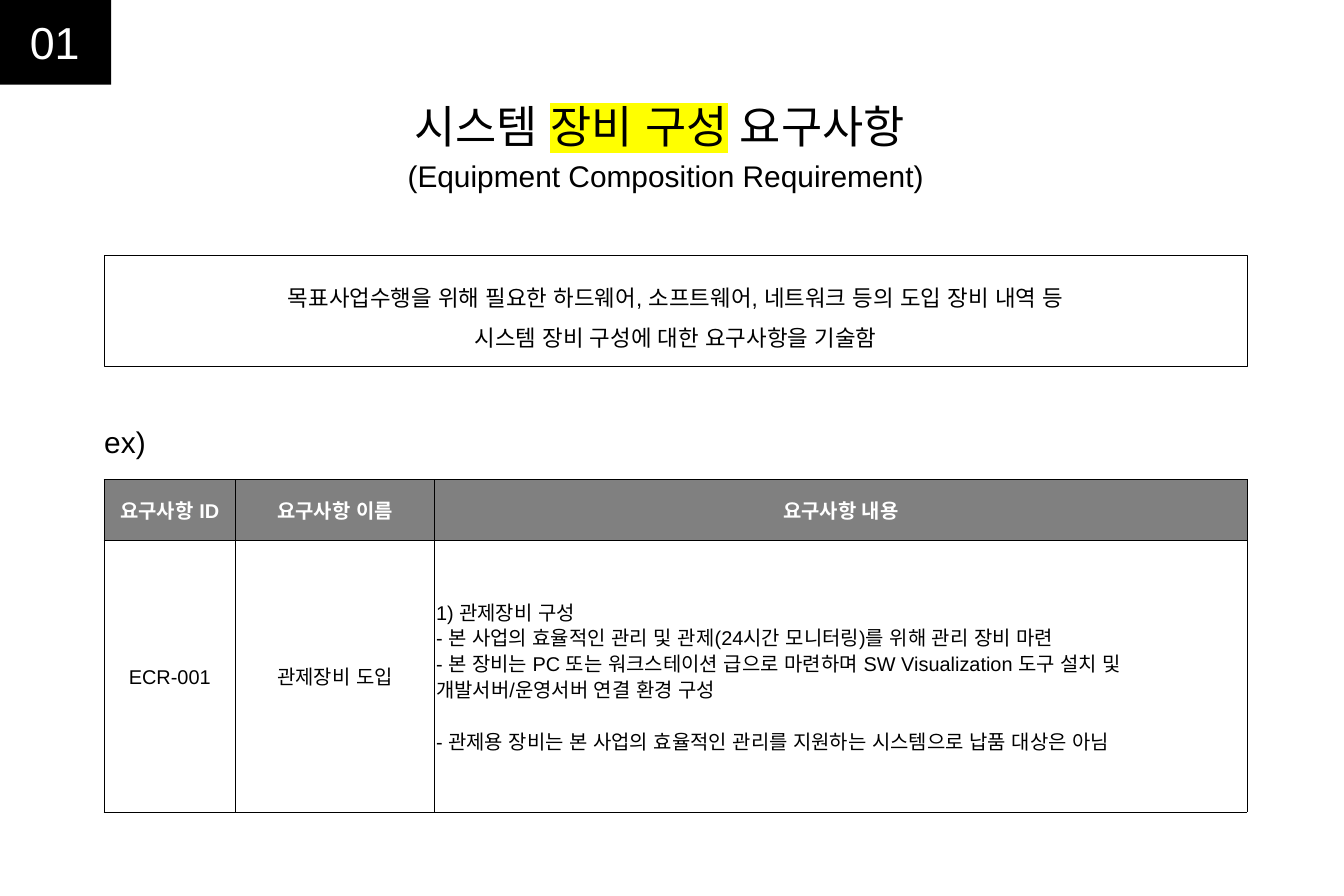
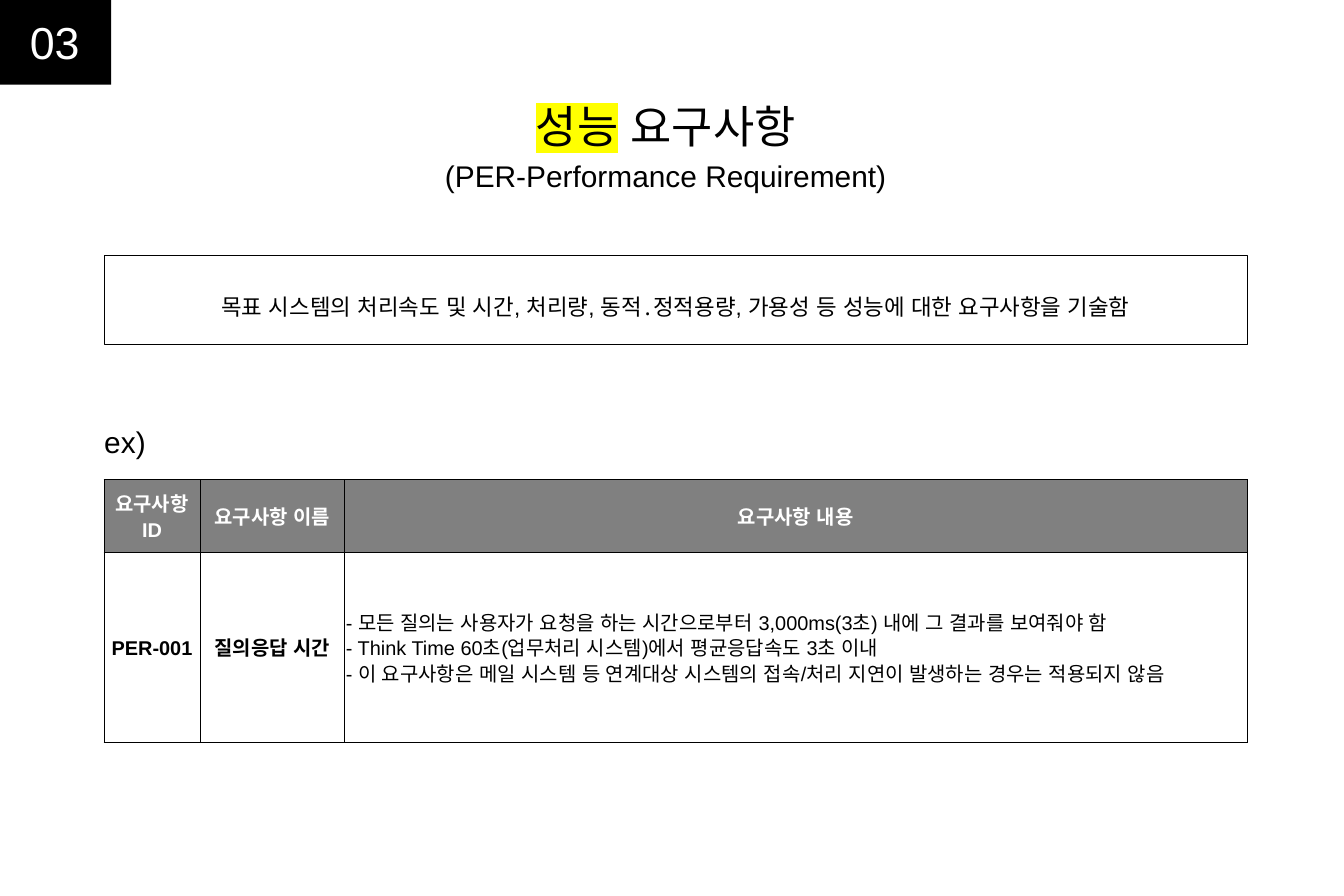
from lxml import etree
from pptx import Presentation
from pptx.dml.color import RGBColor
from pptx.enum.shapes import MSO_SHAPE
from pptx.enum.text import MSO_ANCHOR, PP_ALIGN
from pptx.oxml import parse_xml
from pptx.oxml.ns import nsdecls, qn
from pptx.util import Cm, Pt

RECTANGLE = MSO_SHAPE.RECTANGLE
TOP, MIDDLE = MSO_ANCHOR.TOP, MSO_ANCHOR.MIDDLE
LEFT, CENTER = PP_ALIGN.LEFT, PP_ALIGN.CENTER

FONT = "Arial"
BLACK, WHITE, GRAY, YELLOW = "000000", "FFFFFF", "808080", "FFFF00"
LINE_WIDTH = Pt(0.75)
INSET = 0.25

# Left, top, width and height in centimetres
NUMBER_BOX = (-0.1, -0.03, 6.4, 4.83)
TITLE_BOX = (6.53, 4.6, 61.16, 7.92)
EXAMPLE_BOX = (5.66, 23.77, 7.82, 3.4)
CONTENT_LEFT, CONTENT_WIDTH = 5.89, 64.82
SUMMARY_TOP, TABLE_TOP = 14.45, 27.18

HEADERS = ("요구사항 ID", "요구사항 이름", "요구사항 내용")

REQUIREMENTS = [
    dict(
        number="01",
        title=("시스템 ", "장비 구성", " 요구사항 "),
        subtitle="(Equipment Composition Requirement)",
        summary="목표사업수행을 위해 필요한 하드웨어, 소프트웨어, 네트워크 등의 도입 장비 내역 등\n"
                "시스템 장비 구성에 대한 요구사항을 기술함",
        summary_height=6.32,
        columns=(7.47, 11.28, 46.07),
        rows=(3.43, 15.44),
        values=(
            "ECR-001",
            "관제장비 도입",
            "1) 관제장비 구성\n"
            "- 본 사업의 효율적인 관리 및 관제(24시간 모니터링)를 위해 관리 장비 마련\n"
            "- 본 장비는 PC 또는 워크스테이션 급으로 마련하며 SW Visualization 도구 설치 및 "
            "개발서버/운영서버 연결 환경 구성\n"
            "- 관제용 장비는 본 사업의 효율적인 관리를 지원하는 시스템으로 납품 대상은 아님",
        ),
        bold_labels=False,
        last_gap=42,
    ),
    dict(
        number="03",
        title=("", "성능", " 요구사항"),
        subtitle="(PER-Performance Requirement)",
        summary="목표 시스템의 처리속도 및 시간, 처리량, 동적․정적용량, 가용성 등 "
                "성능에 대한 요구사항을 기술함",
        summary_height=5.08,
        columns=(5.46, 8.18, 51.18),
        rows=(4.14, 10.77),
        values=(
            "PER-001",
            "질의응답 시간",
            "- 모든 질의는 사용자가 요청을 하는 시간으로부터 3,000ms(3초) 내에 그 결과를 보여줘야 함\n"
            "- Think Time 60초(업무처리 시스템)에서 평균응답속도 3초 이내\n"
            "- 이 요구사항은 메일 시스템 등 연계대상 시스템의 접속/처리 지연이 "
            "발생하는 경우는 적용되지 않음",
        ),
        bold_labels=True,
        last_gap=0,
    ),
]


def color(value):
    return RGBColor.from_string(value)


def place(box):
    return [Cm(length) for length in box]


def style_span(span, size, ink, bold=False):
    font = span.font
    font.size, font.bold, font.name = Pt(size), bold, FONT
    font.color.rgb = color(ink)
    latin = span._r.get_or_add_rPr().find(qn("a:latin"))
    east_asian = etree.Element(qn("a:ea"), typeface=FONT)
    latin.addnext(east_asian)


def highlight(span, shade):
    latin = span._r.get_or_add_rPr().find(qn("a:latin"))
    latin.addprevious(parse_xml(
        f'<a:highlight {nsdecls("a")}><a:srgbClr val="{shade}"/></a:highlight>'))


def style_frame(frame, inset=INSET, anchor=TOP):
    frame.word_wrap = True
    frame.vertical_anchor = anchor
    frame.margin_left = frame.margin_right = Cm(inset)
    frame.margin_top = frame.margin_bottom = Cm(inset)


def write(frame, text, size, ink=BLACK, align=CENTER, spacing=1.0, bold=False):
    frame.text = text
    for para in frame.paragraphs:
        para.alignment, para.line_spacing = align, spacing
        for span in para.runs:
            style_span(span, size, ink, bold)


def add_text_box(page, box, inset=INSET):
    frame = page.shapes.add_textbox(*place(box)).text_frame
    style_frame(frame, inset)
    return frame


def add_box(page, box, fill=None, line=None):
    shape = page.shapes.add_shape(RECTANGLE, *place(box))
    shape.shadow.inherit = False
    if fill:
        shape.fill.solid()
        shape.fill.fore_color.rgb = color(fill)
    else:
        shape.fill.background()
    if line:
        shape.line.color.rgb = color(line)
        shape.line.width = LINE_WIDTH
    else:
        shape.line.fill.background()
    style_frame(shape.text_frame, anchor=MIDDLE)
    return shape.text_frame


def add_title(page, box, title, subtitle):
    """Add the title, with its middle part highlighted, above its subtitle."""
    frame = add_text_box(page, box, inset=0.53)
    heading, caption = frame.paragraphs[0], frame.add_paragraph()
    before, marked, after = title
    for text in filter(None, title):
        span = heading.add_run()
        span.text = text
        style_span(span, 72, BLACK)
        if text == marked:
            highlight(span, YELLOW)
    caption.text = subtitle
    style_span(caption.runs[0], 48, BLACK)
    for para in frame.paragraphs:
        para.alignment, para.line_spacing = CENTER, 1.15
        properties = para._p.get_or_add_pPr()
        properties.set("marL", str(Cm(1.27)))
        properties.set("indent", "0")


def add_borders(cell):
    properties = cell._tc.get_or_add_tcPr()
    for side in ("lnL", "lnR", "lnT", "lnB"):
        properties.append(parse_xml(
            f'<a:{side} {nsdecls("a")} w="{LINE_WIDTH}"><a:solidFill>'
            f'<a:srgbClr val="{BLACK}"/></a:solidFill></a:{side}>'))


def fill_cell(cell, text, ink, fill=None, align=CENTER, bold=False):
    add_borders(cell)
    if fill:
        cell.fill.solid()
        cell.fill.fore_color.rgb = color(fill)
    else:
        cell.fill.background()
    cell.vertical_anchor = MIDDLE
    cell.margin_left = cell.margin_right = Cm(0.08)
    cell.margin_top = cell.margin_bottom = Cm(INSET)
    write(cell.text_frame, text, 32, ink, align, 1.15, bold)


def add_requirement_table(page, left, top, item):
    columns, rows = item["columns"], item["rows"]
    box = (left, top, sum(columns), sum(rows))
    table = page.shapes.add_table(len(rows), len(columns), *place(box)).table
    table.first_row = table.horz_banding = False
    for row, height in zip(table.rows, rows):
        row.height = Cm(height)
    last = len(columns) - 1
    for index, width in enumerate(columns):
        table.columns[index].width = Cm(width)
        fill_cell(table.cell(0, index), HEADERS[index], WHITE, GRAY, bold=True)
        is_label = index < last
        fill_cell(table.cell(1, index), item["values"][index], BLACK,
                  align=CENTER if is_label else LEFT,
                  bold=is_label and item["bold_labels"])
    details = table.cell(1, last).text_frame
    details.paragraphs[-1].space_before = Pt(item["last_gap"])


def add_requirement_page(deck, item):
    page = deck.slides.add_slide(deck.slide_layouts[6])
    add_title(page, TITLE_BOX, item["title"], item["subtitle"])
    add_requirement_table(page, CONTENT_LEFT, TABLE_TOP, item)
    write(add_text_box(page, EXAMPLE_BOX), "ex)", 48, align=LEFT)
    summary_box = (CONTENT_LEFT, SUMMARY_TOP, CONTENT_WIDTH, item["summary_height"])
    write(add_box(page, summary_box, line=BLACK), item["summary"], 36, spacing=1.5)
    write(add_box(page, NUMBER_BOX, fill=BLACK), item["number"], 72, WHITE)


def main():
    deck = Presentation()
    deck.slide_width, deck.slide_height = Cm(76.2), Cm(50.8)
    for item in REQUIREMENTS:
        add_requirement_page(deck, item)
    deck.save("out.pptx")


if __name__ == "__main__":
    main()
